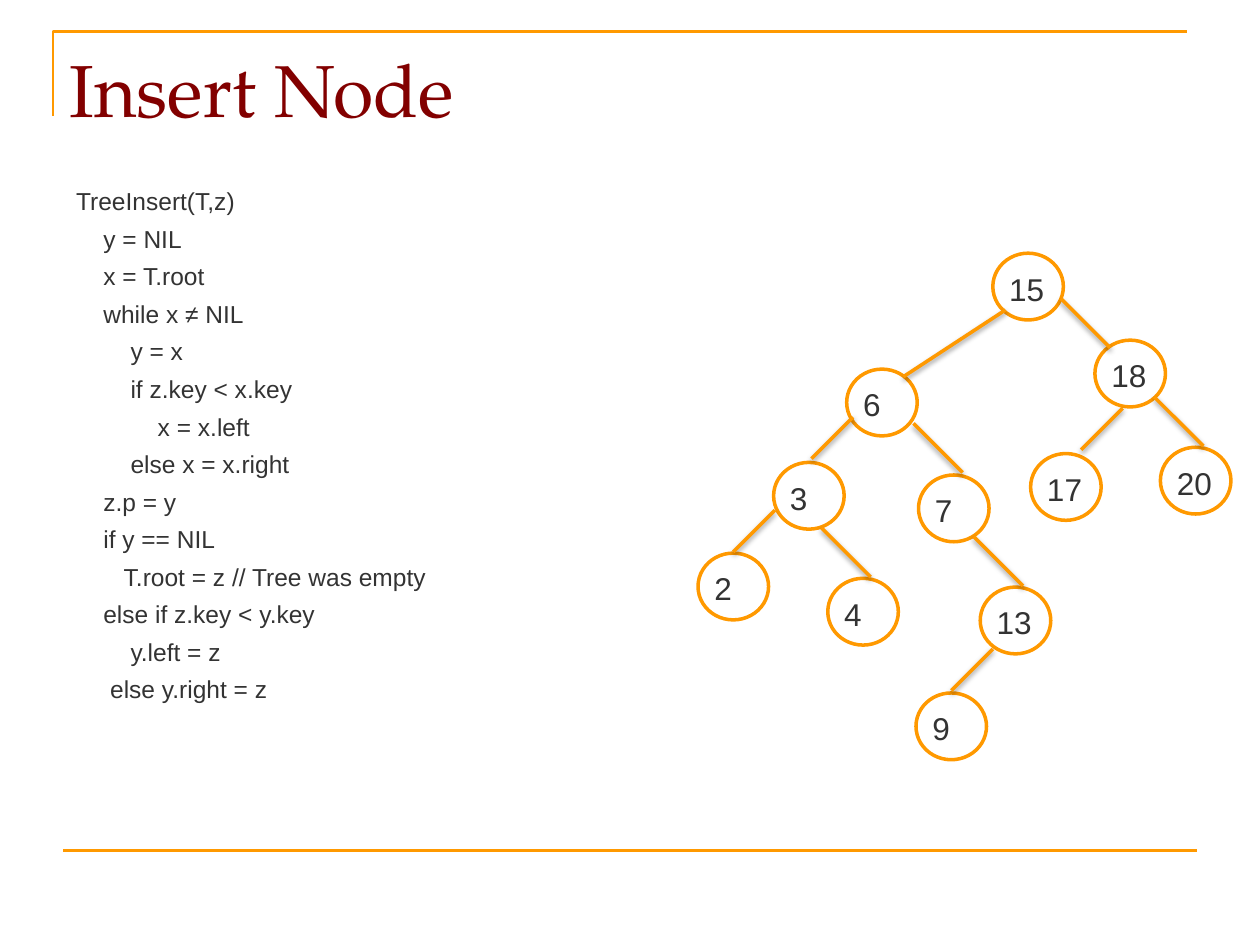
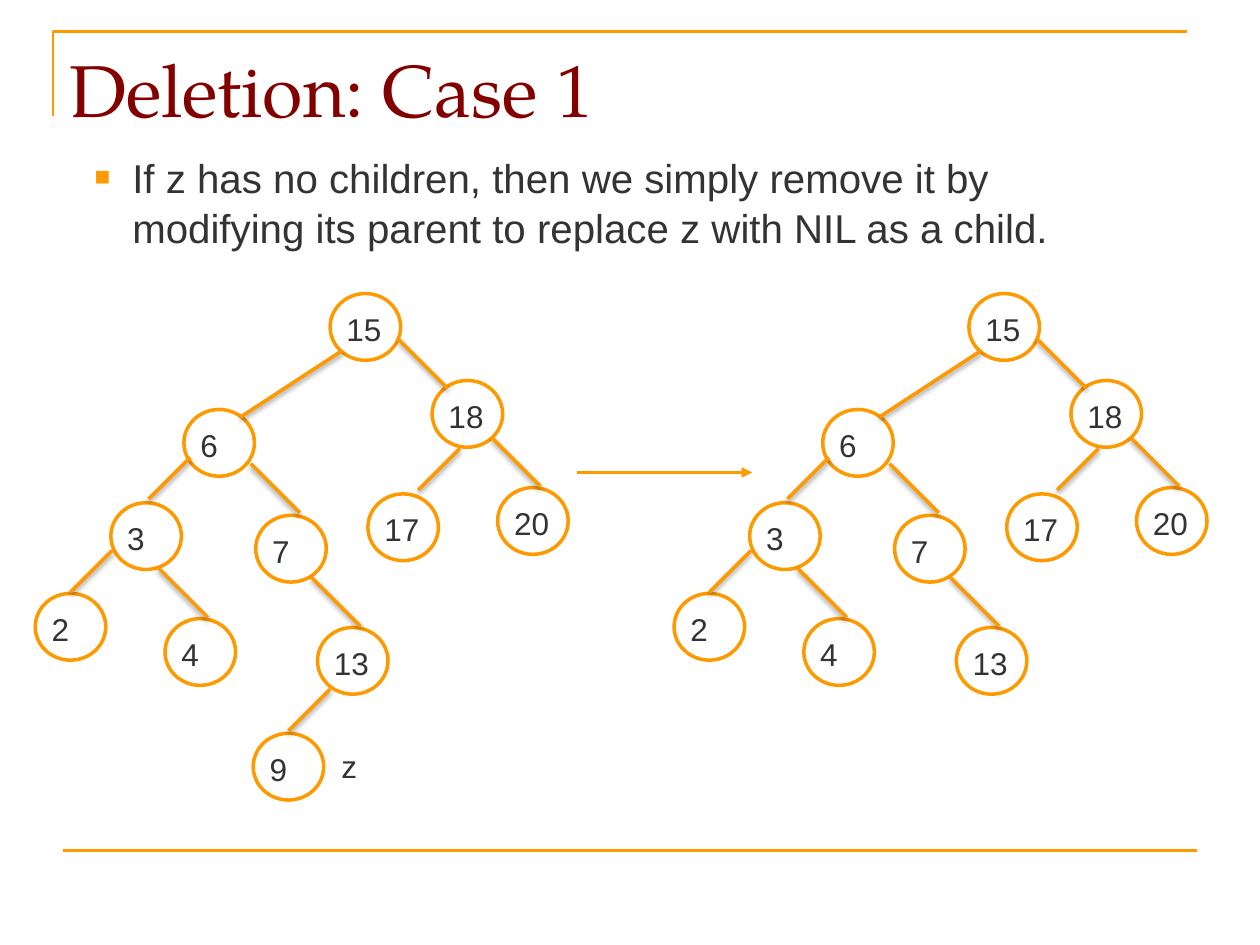
from typing import NamedTuple

from lxml.etree import SubElement
from pptx import Presentation
from pptx.dml.color import RGBColor
from pptx.enum.shapes import MSO_CONNECTOR, MSO_SHAPE
from pptx.enum.text import MSO_ANCHOR, MSO_AUTO_SIZE
from pptx.oxml.ns import qn
from pptx.util import Emu, Pt

SCALE = 9144  # EMU in one px, 100 px to the inch
ORANGE, MAROON, DARK, WHITE = "FF9900", "820000", "333333", "FFFFFF"
SANS, SERIF = "Arial", "TeX Gyre Pagella"
BODY_LEAD = 1.04
SPACE = 5.4  # px that one step of code indent takes


class Point(NamedTuple):
    x: int
    y: int


class Box(NamedTuple):
    x: int
    y: int
    w: int
    h: int


class Style(NamedTuple):
    size: int
    font: str = SANS
    color: str = DARK


class Node(NamedTuple):
    """A key, its place from the root, and its edge from child up to parent."""
    key: int
    x: int
    y: int
    start: Point = Point(0, 0)
    rise: Point | None = None


class Line(NamedTuple):
    indent: int
    text: str


LEFT, RIGHT = Point(33, -33), Point(-39, -39)
LABEL = Style(18)
NODES = [
    Node(15, 0, 0),
    Node(6, -116, 92, Point(45, 6), Point(81, -53)),
    Node(18, 81, 69, Point(12, 6), RIGHT),
    Node(3, -174, 166, Point(30, -3), LEFT),
    Node(7, -59, 176, Point(35, -2), RIGHT),
    Node(17, 30, 159, Point(40, -3), LEFT),
    Node(20, 133, 154, Point(34, -1), RIGHT),
    Node(2, -234, 238, Point(28, -1), LEFT),
    Node(4, -131, 258, Point(34, -1), RIGHT),
    Node(13, -10, 265, Point(34, -1), RIGHT),
    Node(9, -61, 349, Point(28, -2), LEFT),
]
CODE = [
    Line(1, "TreeInsert(T,z)"),
    Line(5, "y = NIL"),
    Line(5, "x = T.root"),
    Line(5, "while x ≠ NIL"),
    Line(9, "y = x"),
    Line(9, "if z.key < x.key"),
    Line(13, "x = x.left"),
    Line(9, "else x = x.right"),
    Line(5, "z.p = y"),
    Line(5, "if y == NIL"),
    Line(8, "T.root = z // Tree was empty"),
    Line(5, "else if z.key < y.key"),
    Line(9, "y.left = z"),
    Line(6, "else y.right = z"),
]


def px(size: float) -> Emu:
    return Emu(round(size * SCALE))


def rgb(code: str) -> RGBColor:
    return RGBColor.from_string(code)


def apply(target, values: dict) -> None:
    for name, value in values.items():
        setattr(target, name, value)


def stroke(shape, width: float) -> None:
    shape.line.color.rgb = rgb(ORANGE)
    shape.line.width = Pt(width)


def write(para, text: str, style: Style) -> None:
    run = para.add_run()
    run.text = text
    apply(run.font, {"size": Pt(style.size), "name": style.font})
    run.font.color.rgb = rgb(style.color)


def add_frame(shapes, box: Box, wrap: bool = True, grow: bool = False):
    frame = shapes.add_textbox(*map(px, box)).text_frame
    fit = MSO_AUTO_SIZE.SHAPE_TO_FIT_TEXT if grow else MSO_AUTO_SIZE.NONE
    sides = ("left", "top", "right", "bottom")
    apply(frame, {f"margin_{side}": px(5) for side in sides})
    apply(frame, {"word_wrap": wrap, "auto_size": fit,
                  "vertical_anchor": MSO_ANCHOR.TOP})
    return frame


def add_text(shapes, box: Box, text: str, style: Style,
             wrap: bool = True, grow: bool = False) -> None:
    frame = add_frame(shapes, box, wrap, grow)
    write(frame.paragraphs[0], text, style)


def add_line(shapes, start: Point, end: Point, width: float,
             shadow: bool = False, arrow: bool = False) -> None:
    line = shapes.add_connector(MSO_CONNECTOR.STRAIGHT, *map(px, start + end))
    stroke(line, width)
    if arrow:
        SubElement(line.line._get_or_add_ln(), qn("a:tailEnd"), type="triangle")
    effects = SubElement(line._element.spPr, qn("a:effectLst"))
    if shadow:
        outer = SubElement(effects, qn("a:outerShdw"), blurRad="38100",
                           dist="20000", dir="5400000", rotWithShape="0")
        black = SubElement(outer, qn("a:srgbClr"), val="000000")
        SubElement(black, qn("a:alpha"), val="38000")


def add_tree(slide, root: Point, nodes: list[Node]) -> None:
    shapes = slide.shapes.add_group_shape().shapes
    for node in nodes:
        x, y = root.x + node.x, root.y + node.y
        ring = shapes.add_shape(MSO_SHAPE.OVAL, *map(px, Box(x, y, 56, 53)))
        ring.shadow.inherit = False
        ring.fill.solid()
        ring.fill.fore_color.rgb = rgb(WHITE)
        stroke(ring, 2)
        add_text(shapes, Box(x + 8, y + 8, 40, 38), str(node.key), LABEL,
                 grow=True)
        if node.rise:
            start = Point(x + node.start.x, y + node.start.y)
            end = Point(start.x + node.rise.x, start.y + node.rise.y)
            add_line(shapes, start, end, 2, shadow=True)


def add_page(deck, title: str):
    """Add a blank slide with the corner rule, the foot rule and a title."""
    slide = deck.slides.add_slide(deck.slide_layouts[6])
    pen = slide.shapes.build_freeform(42, 92, scale=SCALE)
    pen.add_line_segments([(42, 25), (942, 25)], close=False)
    corner = pen.convert_to_shape()
    corner.shadow.inherit = False
    corner.fill.background()
    stroke(corner, 1.5)
    add_line(slide.shapes, Point(50, 675), Point(950, 675), 1.5)
    add_text(slide.shapes, Box(50, 30, 900, 103), title,
             Style(42, SERIF, MAROON))
    return slide


def add_code(slide, box: Box, lines: list[Line]) -> None:
    frame = add_frame(slide.shapes, box)
    for index, line in enumerate(lines):
        para = frame.add_paragraph() if index else frame.paragraphs[0]
        apply(para, {"space_before": Pt(4), "line_spacing": BODY_LEAD})
        para._p.get_or_add_pPr().set("marL", str(px(line.indent * SPACE)))
        write(para, line.text, Style(14))


def add_bullet(slide, box: Box, text: str) -> None:
    para = add_frame(slide.shapes, box).paragraphs[0]
    apply(para, {"level": 1, "space_before": Pt(5), "line_spacing": BODY_LEAD})
    props = para._p.get_or_add_pPr()
    props.set("marL", str(px(59)))
    props.set("indent", str(px(-30)))
    color = SubElement(props, qn("a:buClr"))
    SubElement(color, qn("a:srgbClr"), val=ORANGE)
    SubElement(props, qn("a:buSzPct"), val="65000")
    SubElement(props, qn("a:buFont"), typeface=SANS)
    SubElement(props, qn("a:buChar"), char="■")
    write(para, text, Style(23))


def main() -> None:
    deck = Presentation()
    apply(deck, {"slide_width": px(1000), "slide_height": px(750)})

    insert = add_page(deck, "Insert Node")
    add_code(insert, Box(50, 142, 435, 408), CODE)
    add_tree(insert, Point(788, 201), NODES)

    delete = add_page(deck, "Deletion: Case 1")
    add_bullet(delete, Box(41, 115, 885, 99),
               "If z has no children, then we simply remove it by modifying "
               "its parent to replace z with NIL as a child.")
    add_tree(delete, Point(262, 233), NODES)
    add_tree(delete, Point(769, 233), [n for n in NODES if n.key != 9])
    add_line(delete.shapes, Point(458, 375), Point(597, 375), 2, arrow=True)
    add_text(delete.shapes, Box(266, 588, 24, 41), "z", LABEL,
             wrap=False, grow=True)

    deck.save("out.pptx")


if __name__ == "__main__":
    main()
